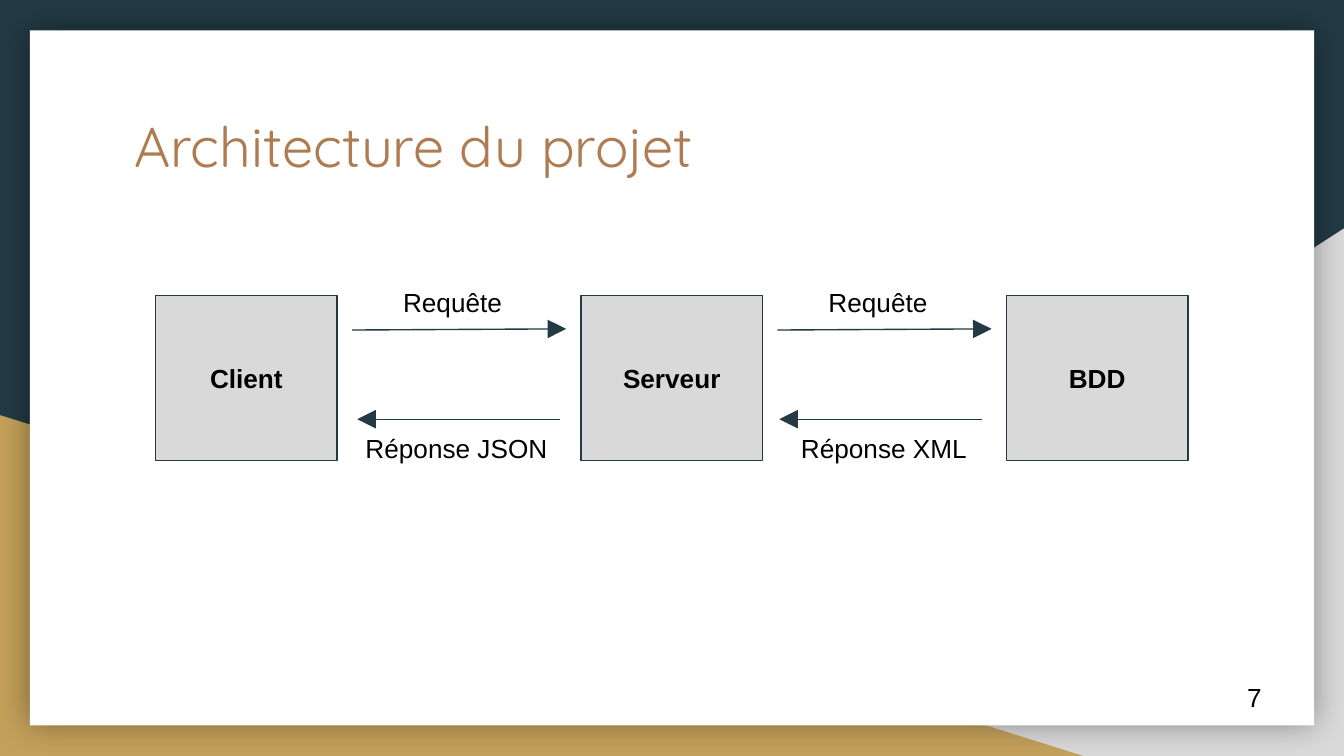
from lxml import etree
from pptx import Presentation
from pptx.dml.color import RGBColor
from pptx.enum.shapes import MSO_CONNECTOR, MSO_SHAPE
from pptx.enum.text import MSO_ANCHOR, PP_ALIGN
from pptx.oxml.ns import qn
from pptx.util import Pt

RECTANGLE = MSO_SHAPE.RECTANGLE
TRIANGLE = MSO_SHAPE.RIGHT_TRIANGLE
STRAIGHT = MSO_CONNECTOR.STRAIGHT
LEFT, CENTER = PP_ALIGN.LEFT, PP_ALIGN.CENTER
TOP, MIDDLE = MSO_ANCHOR.TOP, MSO_ANCHOR.MIDDLE

TITLE_ONLY = 5
WIDTH, HEIGHT = 720, 405
NAVY, GOLD, GREY = "233A44", "C4A15A", "D9D9D9"
WHITE, BLACK, BROWN = "FFFFFF", "000000", "AF7B51"

NODES = ["Client", "Serveur", "BDD"]
# request, reply, request label width, reply label width, reply arrow inset
EXCHANGES = [
    ("Requête", "Réponse JSON", 74.2, 114.5, 10.8),
    ("Requête", "Réponse XML", 74.2, 103.7, 9),
]
NODE_WIDTH = 97.2
LABEL_HEIGHT = 31


def color(hex_code):
    return RGBColor.from_string(hex_code)


def write(shape, text, size=14, font="Arial", ink=BLACK, bold=False,
          align=LEFT, anchor=TOP):
    frame = shape.text_frame
    frame.word_wrap = True
    frame.vertical_anchor = anchor
    frame.margin_left = frame.margin_right = Pt(7.2)
    frame.margin_top = frame.margin_bottom = Pt(7.2)
    paragraph = frame.paragraphs[0]
    paragraph.alignment = align
    run = paragraph.add_run()
    run.text = text
    run.font.size = Pt(size)
    run.font.name = font
    run.font.bold = bold
    run.font.color.rgb = color(ink)


def add_filled(slide, kind, left, top, width, height, fill, outline=None):
    shape = slide.shapes.add_shape(kind, Pt(left), Pt(top), Pt(width), Pt(height))
    shape.shadow.inherit = False
    shape.fill.solid()
    shape.fill.fore_color.rgb = color(fill)
    if outline:
        shape.line.color.rgb = color(outline)
        shape.line.width = Pt(0.75)
    else:
        shape.line.fill.background()
    return shape


def add_label(slide, text, left, top, width, height=LABEL_HEIGHT, **text_format):
    label = slide.shapes.add_textbox(Pt(left), Pt(top), Pt(width), Pt(height))
    write(label, text, **text_format)


def add_arrow(slide, x1, y1, x2, y2):
    arrow = slide.shapes.add_connector(STRAIGHT, Pt(x1), Pt(y1), Pt(x2), Pt(y2))
    arrow.line.color.rgb = color(NAVY)
    arrow.line.width = Pt(0.75)
    etree.SubElement(arrow.line._get_or_add_ln(), qn("a:tailEnd"),
                     type="triangle", w="lg", len="lg")
    etree.SubElement(arrow._element.spPr, qn("a:effectLst"))


def add_glow(shape, blur, opacity):
    """Put a soft, centred black shadow behind the shape."""
    effects = shape._element.spPr.find(qn("a:effectLst"))
    shadow = etree.SubElement(effects, qn("a:outerShdw"), blurRad=str(Pt(blur)),
                              dist="0", dir="0", algn="ctr", rotWithShape="0")
    tint = etree.SubElement(shadow, qn("a:srgbClr"), val=BLACK)
    etree.SubElement(tint, qn("a:alpha"), val=str(opacity * 1000))


def add_backdrop(slide):
    slide.background.fill.solid()
    slide.background.fill.fore_color.rgb = color(NAVY)
    right_corner = add_filled(slide, TRIANGLE, 282.2, 122.4, 437.8, 282.6, GREY)
    right_corner._element.spPr.find(qn("a:xfrm")).set("flipH", "1")
    add_filled(slide, TRIANGLE, 0, 222.4, 580.3, 182.6, GOLD)
    card = add_filled(slide, RECTANGLE, 16, 16.2, 688, 372.4, WHITE)
    add_glow(card, blur=18, opacity=40)


def place_title(slide, text, left, top, width, height):
    title = slide.shapes.title
    slide.shapes._spTree.append(title._element)  # in front of the backdrop
    title.left, title.top = Pt(left), Pt(top)
    title.width, title.height = Pt(width), Pt(height)
    write(title, text, size=30, font="Quicksand", ink=BROWN)


def add_exchange(slide, left, top, width, request, reply,
                 request_width, reply_width, reply_inset):
    """Draw the request and reply arrows in the gap between two nodes."""
    middle = left + width / 2
    add_arrow(slide, left + 8, top + 18.6, left + width - 8, top + 18)
    add_label(slide, request, middle - request_width / 2, top - 12.2, request_width)
    reply_y = top + 66.4
    reply_end = left + reply_inset
    add_arrow(slide, reply_end + 108.7, reply_y, reply_end, reply_y)
    add_label(slide, reply, middle - reply_width / 2, reply_y, reply_width)


def add_architecture(slide, left, top, width, height):
    step = (width - NODE_WIDTH) / (len(NODES) - 1)
    for i, name in enumerate(NODES):
        node = add_filled(slide, RECTANGLE, left + i * step, top,
                          NODE_WIDTH, height, GREY, outline=NAVY)
        write(node, name, bold=True, align=CENTER, anchor=MIDDLE)
    for i, exchange in enumerate(EXCHANGES):
        add_exchange(slide, left + i * step + NODE_WIDTH, top,
                     step - NODE_WIDTH, *exchange)


def main():
    deck = Presentation()
    deck.slide_width, deck.slide_height = Pt(WIDTH), Pt(HEIGHT)
    slide = deck.slides.add_slide(deck.slide_layouts[TITLE_ONLY])
    add_backdrop(slide)
    place_title(slide, "Architecture du projet", 64.8, 52.6, 335.5, 59.8)
    add_architecture(slide, 83.4, 158.2, 553, 88.5)
    add_label(slide, "7", 661, 358, 43.2, anchor=MIDDLE)
    deck.save("out.pptx")


if __name__ == "__main__":
    main()
